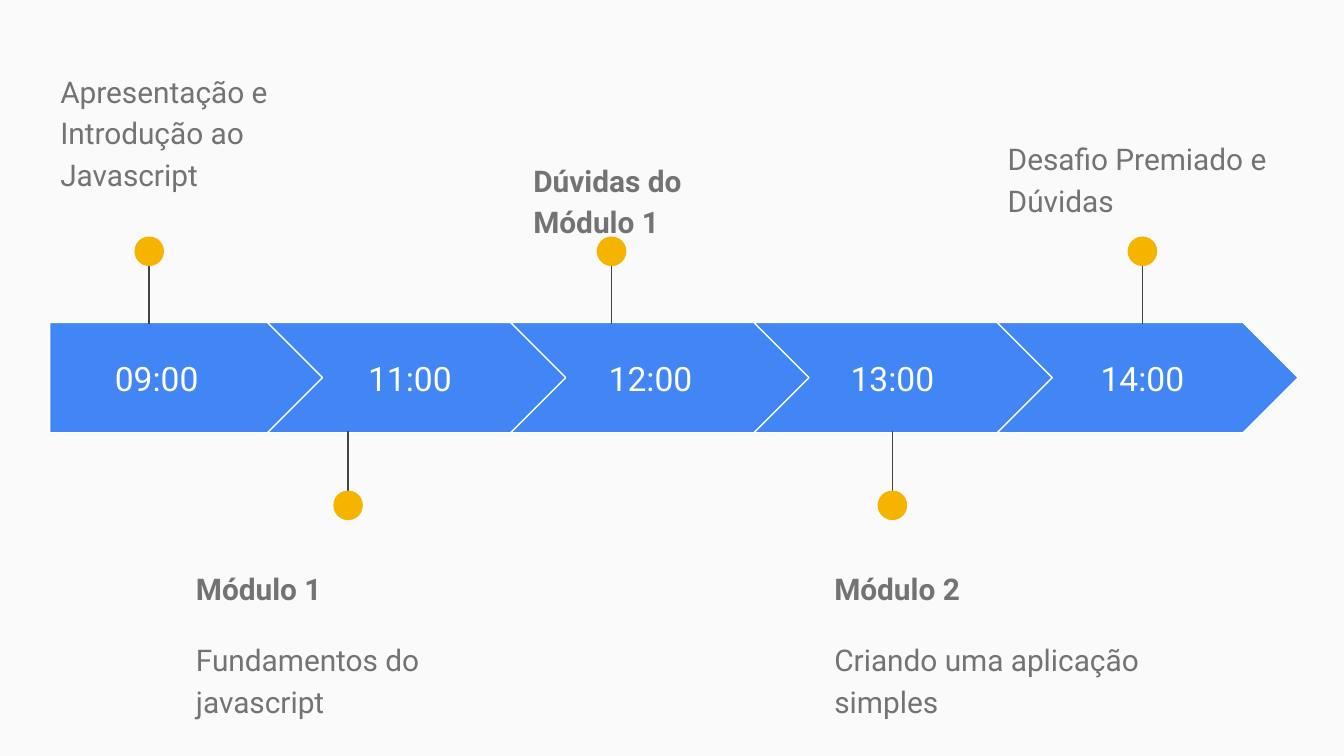
from dataclasses import dataclass

from lxml import etree
from pptx import Presentation
from pptx.dml.color import RGBColor
from pptx.enum import shapes, text
from pptx.oxml.ns import qn
from pptx.util import Inches, Pt

FONT = "Roboto"
BACKGROUND, BLUE, YELLOW = "FAFAFA", "4285F4", "F4B400"
WHITE, GREY, STEM_GREY = "FFFFFF", "737373", "424242"

SLIDE_WIDTH = 10
SLIDE_HEIGHT = SLIDE_WIDTH * 9 / 16
BAND_LEFT, BAND_TOP, BAND_HEIGHT = 0.37, 2.4, 0.82
FIRST_WIDTH, CHEVRON_LEFT, CHEVRON_WIDTH, CHEVRON_STEP = 2.05, 1.99, 2.24, 1.81
TIME_TOP, TIME_HEIGHT = 2.56, 0.51
DOT_SIZE = 0.22


@dataclass
class Line:
    wording: str
    bold: bool = False


@dataclass
class Box:
    left: float
    top: float
    width: float
    height: float


@dataclass
class Stop:
    time: str
    time_left: float
    time_width: float
    pin_x: float
    pin_above: bool
    caption_box: Box
    caption: list[Line]


STOPS = [
    Stop("09:00", 0.37, 1.59, 1.11, True, Box(0.35, 0.41, 2.45, 0.99),
         [Line("Apresentação e Introdução ao Javascript")]),
    Stop("11:00", 2.33, 1.44, 2.59, False, Box(1.36, 4.11, 2.85, 0.99),
         [Line("Módulo 1", True), Line("Fundamentos do javascript")]),
    Stop("12:00", 4.12, 1.44, 4.55, True, Box(3.87, 1.07, 1.65, 0.61),
         [Line("Dúvidas do Módulo 1", True)]),
    Stop("13:00", 5.92, 1.44, 6.64, False, Box(6.11, 4.11, 2.64, 1.19),
         [Line("Módulo 2", True), Line("Criando uma aplicação simples")]),
    Stop("14:00", 7.78, 1.44, 8.5, True, Box(7.4, 0.91, 2.13, 0.76),
         [Line("Desafio Premiado e Dúvidas")]),
]


def colour(hex_code: str) -> RGBColor:
    return RGBColor.from_string(hex_code)


def add_filled(slide, preset, box: Box, fill: str):
    shape = slide.shapes.add_shape(preset, Inches(box.left), Inches(box.top),
                                   Inches(box.width), Inches(box.height))
    shape.shadow.inherit = False
    shape.fill.solid()
    shape.fill.fore_color.rgb = colour(fill)
    return shape


def add_segment(slide, index: int) -> None:
    """Draw one link of the arrow band; the first has a flat left end."""
    if index == 0:
        preset = shapes.MSO_SHAPE.PENTAGON
        left, width = BAND_LEFT, FIRST_WIDTH
    else:
        preset = shapes.MSO_SHAPE.CHEVRON
        left, width = CHEVRON_LEFT + (index - 1) * CHEVRON_STEP, CHEVRON_WIDTH
    segment = add_filled(slide, preset, Box(left, BAND_TOP, width, BAND_HEIGHT), BLUE)
    segment.line.color.rgb = colour(WHITE)
    segment.line.width = Pt(0.75)


def add_text(slide, box: Box, lines: list[Line], size: float, hex_code: str):
    frame = slide.shapes.add_textbox(Inches(box.left), Inches(box.top),
                                     Inches(box.width), Inches(box.height)).text_frame
    frame.word_wrap = True
    frame.margin_left = frame.margin_right = Inches(0.1)
    frame.margin_top = frame.margin_bottom = Inches(0.1)
    frame.text = "\n".join(line.wording for line in lines)
    for paragraph, line in zip(frame.paragraphs, lines):
        font = paragraph.runs[0].font
        font.name, font.size, font.bold = FONT, Pt(size), line.bold
        font.color.rgb = colour(hex_code)
    return frame


def add_time(slide, stop: Stop) -> None:
    box = Box(stop.time_left, TIME_TOP, stop.time_width, TIME_HEIGHT)
    frame = add_text(slide, box, [Line(stop.time)], 18, WHITE)
    frame.vertical_anchor = text.MSO_ANCHOR.MIDDLE
    frame.paragraphs[0].alignment = text.PP_ALIGN.CENTER


def add_pin(slide, stop: Stop) -> None:
    """Draw a stem from the band with a dot at its far end."""
    far_end, band_edge, dot_top = (1.8, 2.41, 1.76) if stop.pin_above else (3.82, 3.21, 3.65)
    x = Inches(stop.pin_x)
    stem = slide.shapes.add_connector(shapes.MSO_CONNECTOR.STRAIGHT,
                                      x, Inches(far_end), x, Inches(band_edge))
    stem.line.color.rgb = colour(STEM_GREY)
    stem.line.width = Pt(0.75)
    etree.SubElement(stem._element.spPr, qn("a:effectLst"))
    dot_box = Box(stop.pin_x - DOT_SIZE / 2, dot_top, DOT_SIZE, DOT_SIZE)
    dot = add_filled(slide, shapes.MSO_SHAPE.OVAL, dot_box, YELLOW)
    dot.line.fill.background()


def add_caption(slide, stop: Stop) -> None:
    frame = add_text(slide, stop.caption_box, stop.caption, 16, GREY)
    for paragraph in frame.paragraphs:
        paragraph.line_spacing = 1.15
    for paragraph in frame.paragraphs[1:]:
        paragraph.space_before = Pt(16)
    frame.paragraphs[-1].space_after = Pt(16)


def main() -> None:
    deck = Presentation()
    deck.slide_width, deck.slide_height = Inches(SLIDE_WIDTH), Inches(SLIDE_HEIGHT)
    slide = deck.slides.add_slide(deck.slide_layouts[6])
    slide.background.fill.solid()
    slide.background.fill.fore_color.rgb = colour(BACKGROUND)
    for index, stop in enumerate(STOPS):
        add_segment(slide, index)
        add_time(slide, stop)
        add_pin(slide, stop)
        add_caption(slide, stop)
    deck.save("out.pptx")


if __name__ == "__main__":
    main()
